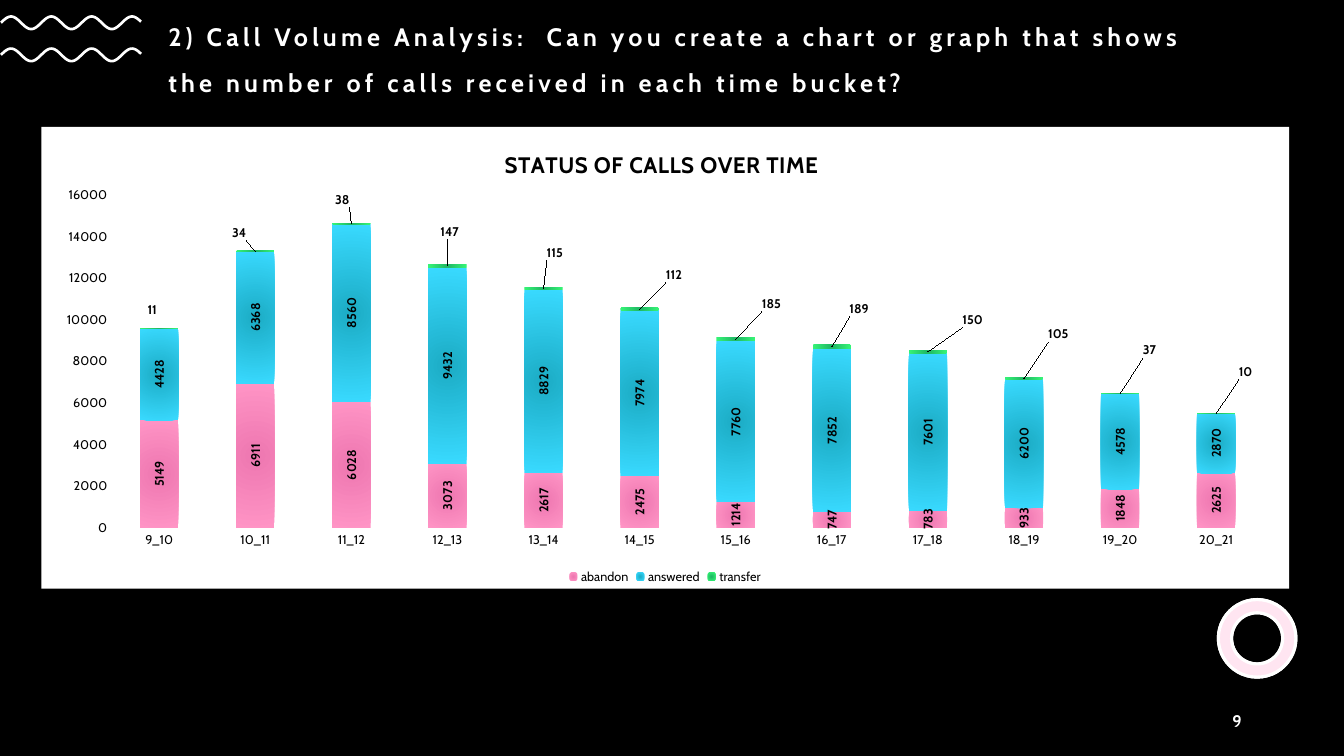
"""Build a dark slide with a stacked column chart of calls per time bucket."""
from dataclasses import dataclass
from math import cos, pi

from pptx import Presentation
from pptx.chart.chart import Chart
from pptx.chart.data import CategoryChartData as ChartData
from pptx.chart.series import BarSeries
from pptx.dml.color import RGBColor as Rgb
from pptx.enum.chart import XL_CHART_TYPE as Kind
from pptx.enum.chart import XL_LEGEND_POSITION as Place
from pptx.enum.chart import XL_TICK_MARK as Tick
from pptx.enum.shapes import MSO_SHAPE as Shape
from pptx.enum.text import MSO_ANCHOR as Anchor
from pptx.enum.text import MSO_AUTO_SIZE as Fit
from pptx.enum.text import PP_ALIGN as Align
from pptx.oxml import parse_xml
from pptx.oxml.ns import nsdecls
from pptx.slide import Slide
from pptx.text.text import Font, TextFrame, _Paragraph as Para
from pptx.util import Pt

FACE = "Cabin"
HUES = {"black": "000000", "white": "FFFFFF", "pink": "FF80BD"}
WIDE, HIGH = 891.36, 329.76
HOURS = [f"{hour}_{hour + 1}" for hour in range(9, 21)]


@dataclass
class Status:
    """One stacked series, with its gradient and label layout."""
    name: str
    calls: list[int]
    core: str
    edge: str
    turn: int = 0
    shifts: tuple[tuple[float, float], ...] = ()


@dataclass
class Ring:
    """One layer of the ring, with opacity in percent."""
    hue: str
    solid: int


STATES = [
    Status("abandon", [5149, 6911, 6028, 3073, 2617, 2475, 1214, 747, 783, 933, 1848, 2625],
           "EE77B0", "FF94C5", -90),
    Status("answered", [4428, 6368, 8560, 9432, 8829, 7974, 7760, 7852, 7601, 6200, 4578, 2870],
           "1CACC5", "39DAFF", -90),
    Status("transfer", [11, 34, 38, 147, 115, 112, 185, 189, 150, 105, 37, 10],
           "1FB764", "37F577", 0,
           ((-5, -13.5), (-11.5, -13), (-6.5, -17), (1.5, -24.5), (8, -25.5), (24.5, -24.5),
            (25.5, -25.5), (19.5, -27), (32, -23), (24.5, -31.5), (21, -31), (21, -29.5))),
]
RINGS = [Ring("white", 100), Ring("pink", 20)]


def tint(name: str) -> Rgb:
    """Return a named colour."""
    return Rgb.from_string(HUES[name])


def style(font: Font, size: float, hue: str, bold: bool = False) -> None:
    """Set face, size, colour and weight."""
    font.name, font.size, font.bold = FACE, Pt(size), bold
    font.color.rgb = tint(hue)


def write(para: Para, text: str, size: float, hue: str, gap: float) -> None:
    """Add a bold run with letter spacing in points."""
    run = para.add_run()
    run.text = text
    style(run.font, size, hue, True)
    run.font._element.set("spc", str(int(gap * 100)))


def frame(box: TextFrame) -> Para:
    """Prepare a text frame and return its first paragraph."""
    box.word_wrap, box.auto_size = True, Fit.NONE
    box.vertical_anchor = Anchor.MIDDLE
    return box.paragraphs[0]


def wave(slide: Slide, mid: float) -> None:
    """Draw a white wave line around a given height."""
    dots = [(Pt(x), Pt(mid - 4.5 * cos(2 * pi * (x - 7.92) / 28.8)))
            for x in (0.75 + step for step in range(101))]
    path = slide.shapes.build_freeform(*dots[0])
    path.add_line_segments(dots[1:], close=False)
    curve = path.convert_to_shape()
    curve.shadow.inherit = False
    curve.fill.background()
    curve.line.color.rgb = tint("white")
    curve.line.width = Pt(1.9)


def draw_ring(slide: Slide, ring: Ring) -> None:
    """Draw one layer of the ring."""
    disc = slide.shapes.add_shape(Shape.DONUT, Pt(870.3), Pt(428.3), Pt(55.4), Pt(55.4))
    disc.adjustments[0] = 0.17
    disc.shadow.inherit = False
    disc.fill.solid()
    disc.fill.fore_color.rgb = tint(ring.hue)
    if ring.solid < 100:
        shade = disc._element.spPr.xpath("a:solidFill/a:srgbClr")[0]
        shade.append(parse_xml(f'<a:alpha {nsdecls("a")} val="{ring.solid * 1000}"/>'))
    disc.line.color.rgb = tint("white")
    disc.line.width = Pt(2.25)


def layout(**marks: object) -> object:
    """Make a manual chart layout."""
    tags = "".join(f'<c:{key} val="{val}"/>' for key, val in marks.items())
    return parse_xml(f'<c:layout {nsdecls("c")}><c:manualLayout>{tags}</c:manualLayout></c:layout>')


def paint(series: BarSeries, state: Status) -> None:
    """Apply the round gradient and the labels of a series."""
    fill = series.format.fill
    fill.gradient()
    for stop, hue, spot in zip(fill.gradient_stops, (state.core, state.edge), (0, 1)):
        stop.color.rgb, stop.position = Rgb.from_string(hue), spot
    line = series._element.xpath("c:spPr/a:gradFill/a:lin")[0]
    line.getparent().replace(line, parse_xml(
        f'<a:path {nsdecls("a")} path="circle">'
        '<a:fillToRect l="100000" t="100000" r="100000" b="100000"/></a:path>'))
    series.invert_if_negative = False
    labels = series.data_labels
    labels.show_value = True
    style(labels.font, 9, "black", True)
    body = labels._element.xpath("c:txPr/a:bodyPr")[0]
    body.set("rot", str(state.turn * 60000))
    body.set("vert", "horz")
    for spot, (right, down) in enumerate(state.shifts):
        style(series.points[spot].data_label.font, 9, "black", True)
        mark = labels._element.xpath(f"c:dLbl[c:idx/@val={spot}]")[0]
        mark[0].addnext(layout(x=round(right / WIDE, 4), y=round(down / HIGH, 4)))


def place(chart: Chart) -> None:
    """Fix the plot and title areas and fill the chart white."""
    area = chart._chartSpace.xpath("c:chart/c:plotArea")[0]
    for old in area.xpath("c:layout"):
        area.remove(old)
    area.insert(0, layout(layoutTarget="inner", xMode="edge", yMode="edge",
                          x=0.056, y=0.147, w=0.924, h=0.721))
    title = chart._chartSpace.xpath("c:chart/c:title")[0]
    for old in title.xpath("c:layout"):
        title.remove(old)
    title.xpath("c:tx")[0].addnext(layout(xMode="edge", yMode="edge", x=0.368, y=0.04))
    chart._chartSpace.xpath("c:chart")[0].addnext(parse_xml(
        f'<c:spPr {nsdecls("c", "a")}><a:solidFill><a:srgbClr val="{HUES["white"]}"/>'
        '</a:solidFill><a:ln><a:noFill/></a:ln></c:spPr>'))


def add_calls(slide: Slide) -> None:
    """Add the stacked chart of calls."""
    data = ChartData()
    data.categories = HOURS
    for state in STATES:
        data.add_series(state.name, state.calls)
    chart = slide.shapes.add_chart(Kind.COLUMN_STACKED, Pt(29.5), Pt(90.7),
                                   Pt(WIDE), Pt(HIGH), data).chart
    style(chart.font, 10, "black")
    chart.has_title = True
    write(chart.chart_title.text_frame.paragraphs[0], "STATUS OF CALLS OVER TIME", 16, "black", 0.5)
    chart.chart_title.include_in_layout = False
    chart.has_legend = True
    chart.legend.position = Place.BOTTOM
    chart.legend.include_in_layout = False
    style(chart.legend.font, 9, "black")
    for axis in (chart.category_axis, chart.value_axis):
        axis.major_tick_mark = axis.minor_tick_mark = Tick.NONE
        axis.has_major_gridlines = False
        axis.format.line.fill.background()
        style(axis.tick_labels.font, 9, "black")
    scale = chart.value_axis
    scale.minimum_scale, scale.maximum_scale, scale.major_unit = 0, 16000, 2000
    plot = chart.plots[0]
    plot.gap_width, plot.overlap, plot.vary_by_categories = 150, 100, False
    for series, state in zip(plot.series, STATES):
        paint(series, state)
    place(chart)


def main() -> None:
    """Build and save the slide."""
    deck = Presentation()
    deck.slide_width, deck.slide_height = Pt(960), Pt(540)
    slide = deck.slides.add_slide(deck.slide_layouts[5])
    slide.background.fill.solid()
    slide.background.fill.fore_color.rgb = tint("black")
    for mid in (39.2, 16.3):
        wave(slide, mid)
    for ring in RINGS:
        draw_ring(slide, ring)
    head = slide.shapes.title
    head.left, head.top, head.width, head.height = Pt(113), Pt(8.6), Pt(769.7), Pt(56.9)
    para = frame(head.text_frame)
    para.alignment, para.line_spacing = Align.LEFT, 1.5
    write(para, "2) Call Volume Analysis:  Can you create a chart or graph that shows "
          "the number of calls received in each time bucket?", 18, "white", 3)
    page = slide.shapes.add_textbox(Pt(678.2), Pt(500.4), Pt(216), Pt(28.8))
    para = frame(page.text_frame)
    para.alignment = Align.RIGHT
    write(para, "9", 12, "white", 1)
    add_calls(slide)
    deck.save("out.pptx")


if __name__ == "__main__":
    main()
